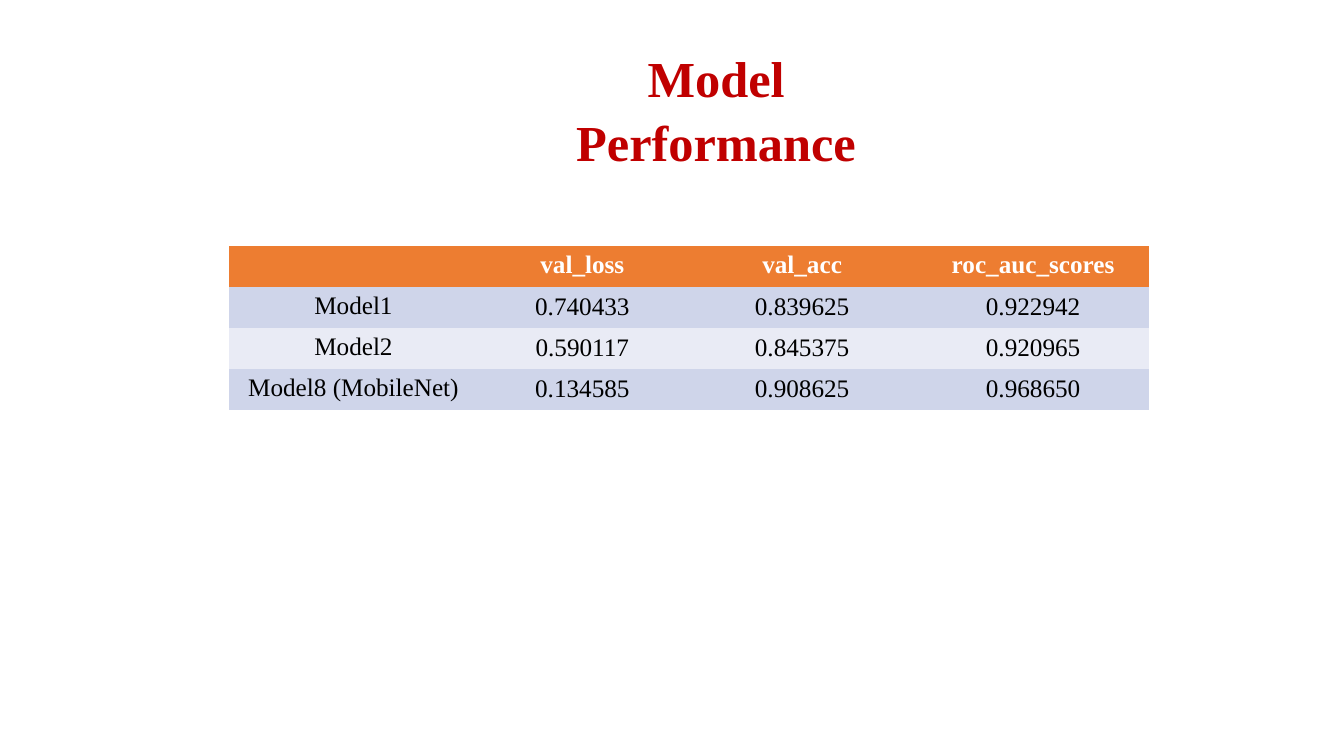
from pptx import Presentation
from pptx.dml.color import RGBColor
from pptx.enum import text
from pptx.oxml import ns
from pptx.util import Pt

FONT = "Times New Roman"
COLORS = {
    "title": "C00000",
    "header": "ED7D31",
    "header_text": "FFFFFF",
    "body_text": "000000",
    "odd_row": "CFD5EA",
    "even_row": "E9EBF5",
}
PLAIN_TABLE_STYLE = "{2D5ABB26-0587-4C30-8999-92F81FD0307C}"
COLUMN_WIDTHS = [178, 149, 165, 165]
SCORES = [
    ["", "val_loss", "val_acc", "roc_auc_scores"],
    ["Model1", "0.740433", "0.839625", "0.922942"],
    ["Model2", "0.590117", "0.845375", "0.920965"],
    ["Model8 (MobileNet)", "0.134585", "0.908625", "0.968650"],
]


def color(name):
    return RGBColor.from_string(COLORS[name])


def write_centered(text_frame, wording, size, color_name, bold):
    text_frame.text = wording
    paragraph = text_frame.paragraphs[0]
    paragraph.alignment = text.PP_ALIGN.CENTER
    for run in paragraph.runs:
        run.font.name = FONT
        run.font.size = Pt(size)
        run.font.bold = bold
        run.font.color.rgb = color(color_name)


def add_title(slide, left, top, width, height):
    text_frame = slide.shapes.add_textbox(
        Pt(left), Pt(top), Pt(width), Pt(height)).text_frame
    text_frame.word_wrap = True
    write_centered(text_frame, "Model Performance", 36, "title", True)
    text_frame.paragraphs[0].line_spacing = 1.06


def add_score_table(slide, left, top, row_height):
    """Place the table with a header row, banded rows and no borders."""
    table = slide.shapes.add_table(
        len(SCORES), len(COLUMN_WIDTHS), Pt(left), Pt(top),
        Pt(sum(COLUMN_WIDTHS)), Pt(row_height * len(SCORES))).table
    table._tbl.tblPr.find(ns.qn("a:tableStyleId")).text = PLAIN_TABLE_STYLE
    for column, width in zip(table.columns, COLUMN_WIDTHS):
        column.width = Pt(width)

    for row_index, row in enumerate(SCORES):
        table.rows[row_index].height = Pt(row_height)
        is_header = row_index == 0
        band = "odd_row" if row_index % 2 else "even_row"
        for column_index, wording in enumerate(row):
            cell = table.cell(row_index, column_index)
            cell.fill.solid()
            cell.fill.fore_color.rgb = color("header" if is_header else band)
            if not is_header and column_index > 0:
                cell.vertical_anchor = text.MSO_ANCHOR.MIDDLE
            write_centered(cell.text_frame, wording, 18,
                           "header_text" if is_header else "body_text",
                           is_header)


def main():
    presentation = Presentation()
    presentation.slide_width = Pt(960)
    presentation.slide_height = Pt(540)
    slide = presentation.slides.add_slide(presentation.slide_layouts[6])
    add_score_table(slide, 163.5, 175.5, 29.3)
    add_title(slide, 358.5, 27.5, 306, 51)
    presentation.save("out.pptx")


if __name__ == "__main__":
    main()
